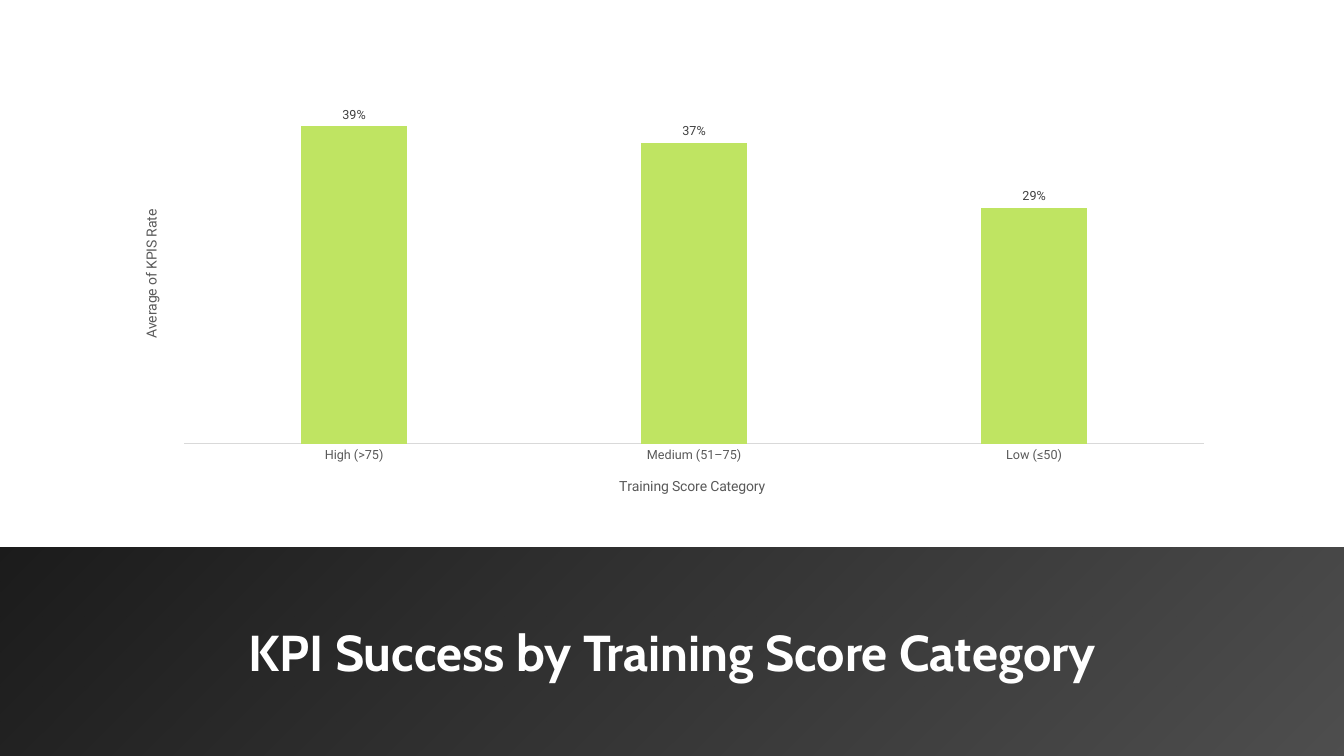
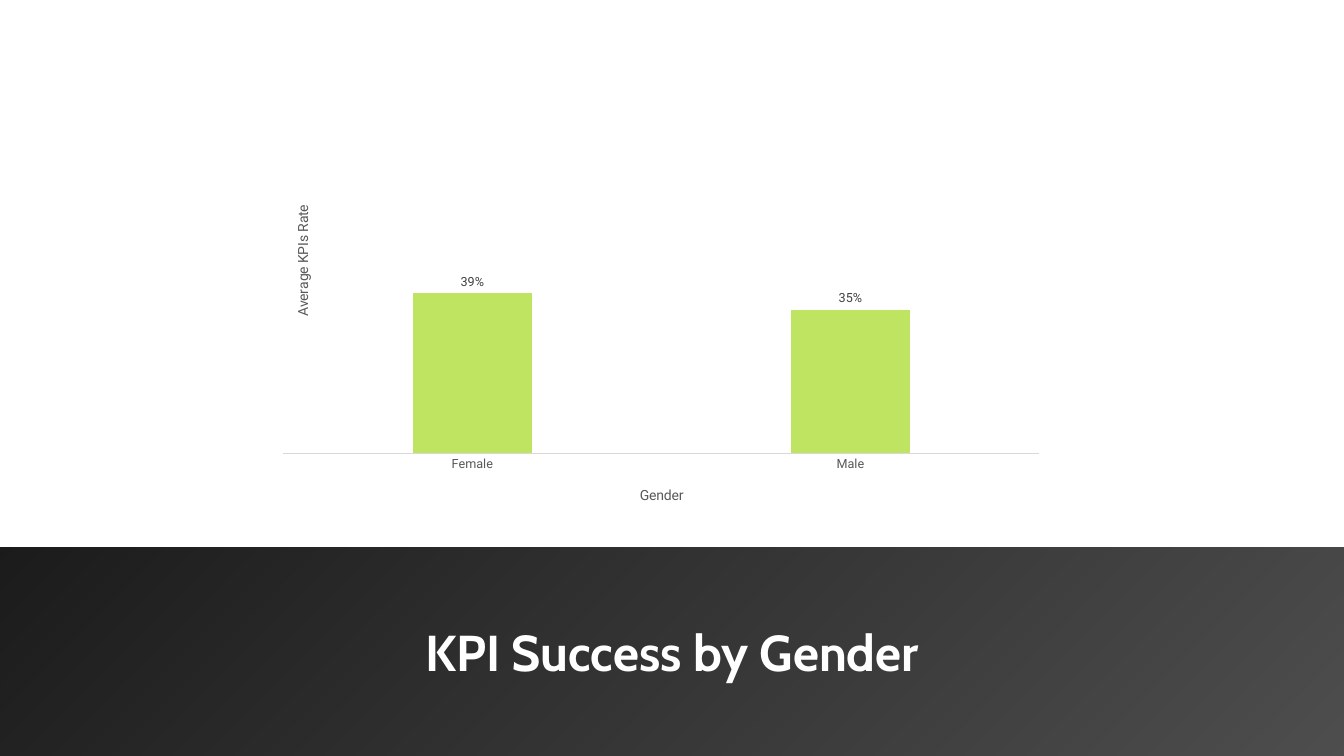
from pptx import Presentation
from pptx.chart.data import CategoryChartData
from pptx.dml.color import RGBColor
from pptx.enum.chart import XL_CHART_TYPE as CT, XL_LABEL_POSITION as LP, XL_TICK_MARK as TM
from pptx.enum.shapes import MSO_SHAPE as SHAPE
from pptx.enum.text import MSO_ANCHOR, MSO_AUTO_SIZE, PP_ALIGN
from pptx.oxml import parse_xml
from pptx.oxml.ns import nsdecls, qn
from pptx.util import Pt

WIDTH, HEIGHT = 960, 540
BAND_TOP = 391
HEAD_FONT, BODY_FONT = "Cabin", "Roboto"
WHITE, BLACK, LIME = "FFFFFF", "000000", "BFE462"
GREY, LABEL, RULE = "595959", "404040", "D9D9D9"


def rgb(value):
    return RGBColor.from_string(value)


def set_font(font, size, color, name=BODY_FONT, bold=False):
    font.size, font.name, font.bold = Pt(size), name, bold
    font.color.rgb = rgb(color)


def write(tf, text, align=PP_ALIGN.CENTER, **style):
    p = tf.paragraphs[0]
    p.alignment = align
    r = p.add_run()
    r.text = text
    set_font(r.font, **style)


def layout_xml(x, y, w=None, h=None):
    """Manual chart layout, in fractions of the chart's size."""
    target = '<c:layoutTarget val="inner"/>' if w else ""
    parts = [("xMode", "edge"), ("yMode", "edge"), ("x", x), ("y", y)]
    if w:
        parts += [("w", w), ("h", h)]
    body = "".join(f'<c:{tag} val="{val}"/>' for tag, val in parts)
    return parse_xml(f'<c:layout {nsdecls("c")}><c:manualLayout>{target}{body}'
                     "</c:manualLayout></c:layout>")


def drop_layout(parent):
    for old in parent.findall(qn("c:layout")):
        parent.remove(old)


class Deck:
    def __init__(self):
        self.prs = Presentation()
        self.prs.slide_width, self.prs.slide_height = Pt(WIDTH), Pt(HEIGHT)
        self.slide = None

    def new_slide(self, title, title_width):
        self.slide = self.prs.slides.add_slide(self.prs.slide_layouts[5])
        bg = self.slide.background.fill
        bg.solid()
        bg.fore_color.rgb = rgb(WHITE)
        self.band()
        self.title(title, title_width)

    def band(self):
        sp = self.slide.shapes.add_shape(
            SHAPE.RECTANGLE, 0, Pt(BAND_TOP), Pt(WIDTH), Pt(HEIGHT - BAND_TOP))
        sp.shadow.inherit = False
        sp.line.fill.background()
        sp.fill.gradient()
        sp.fill.gradient_angle = 135
        for stop in sp.fill.gradient_stops:
            stop.color.rgb = rgb(BLACK)
        # Opacity of the two stops
        colors = sp._element.spPr.iter(qn("a:srgbClr"))
        for clr, opacity in zip(colors, (70, 90)):
            clr.append(parse_xml(f'<a:alpha {nsdecls("a")} val="{opacity * 1000}"/>'))

    def title(self, text, width):
        sp = self.slide.shapes.title
        sp.left, sp.top = Pt((WIDTH - width) / 2), Pt(440)
        sp.width, sp.height = Pt(width), Pt(51)
        tf = sp.text_frame
        tf.word_wrap = True
        tf.auto_size = MSO_AUTO_SIZE.SHAPE_TO_FIT_TEXT
        tf.vertical_anchor = MSO_ANCHOR.TOP
        write(tf, text, size=36, color=WHITE, name=HEAD_FONT, bold=True)
        # The title lies in front of the band
        self.slide.shapes._spTree.append(sp._element)

    def axis_title(self, axis, text, place, rotation=0):
        title = axis.axis_title
        write(title.text_frame, text, size=10, color=GREY)
        body = title.text_frame._txBody.find(qn("a:bodyPr"))
        body.set("rot", str(rotation * 60000))
        body.set("vert", "horz")
        drop_layout(title._element)
        title._element.find(qn("c:tx")).addnext(layout_xml(*place))

    def column_chart(self, box, values, top, plot, x_title, x_place, y_title, y_place):
        data = CategoryChartData(number_format="0%")
        data.categories = list(values)
        data.add_series("Series 1", list(values.values()))
        chart = self.slide.shapes.add_chart(
            CT.COLUMN_CLUSTERED, *map(Pt, box), data).chart
        chart.has_title = chart.has_legend = False
        set_font(chart.font, 10, BLACK)

        # Columns and their labels
        bars = chart.plots[0]
        bars.gap_width, bars.overlap = 219, -27
        bars.vary_by_categories = False
        fill = bars.series[0].format.fill
        fill.solid()
        fill.fore_color.rgb = rgb(LIME)
        bars.has_data_labels = True
        labels = bars.data_labels
        labels.show_value, labels.position = True, LP.OUTSIDE_END
        labels.number_format, labels.number_format_is_linked = "0%", False
        set_font(labels.font, 9, LABEL)

        # Axes
        cat, val = chart.category_axis, chart.value_axis
        cat.major_tick_mark = cat.minor_tick_mark = TM.NONE
        cat.format.line.color.rgb = rgb(RULE)
        cat.format.line.width = Pt(0.75)
        set_font(cat.tick_labels.font, 9, GREY)
        val.minimum_scale, val.maximum_scale = 0, top
        val.has_major_gridlines = False
        val.tick_labels.number_format = "0%"
        val.tick_labels.number_format_is_linked = False
        val.visible = False
        self.axis_title(cat, x_title, x_place)
        self.axis_title(val, y_title, y_place, rotation=-90)

        # Plot area
        area = chart._chartSpace.chart.plotArea
        drop_layout(area)
        area.insert(0, layout_xml(*plot))


def main():
    deck = Deck()

    deck.new_slide("KPI Success by Training Score Category", 743)
    deck.column_chart(
        (84, 49, 792, 319),
        {"High (>75)": 0.39, "Medium (51–75)": 0.37, "Low (≤50)": 0.29},
        top=0.45, plot=(0.06, 0.02, 0.92, 0.82),
        x_title="Training Score Category", x_place=(0.45, 0.91),
        y_title="Average of KPIS Rate", y_place=(0.02, 0.31))

    deck.new_slide("KPI Success by Gender", 825)
    deck.column_chart(
        (202, 31, 575, 366), {"Female": 0.39, "Male": 0.35},
        top=1, plot=(0, 0, 0.94, 0.8),
        x_title="Gender", x_place=(0.44, 0.86),
        y_title="Average KPIs Rate", y_place=(0.01, 0.31))

    deck.prs.save("out.pptx")


if __name__ == "__main__":
    main()
